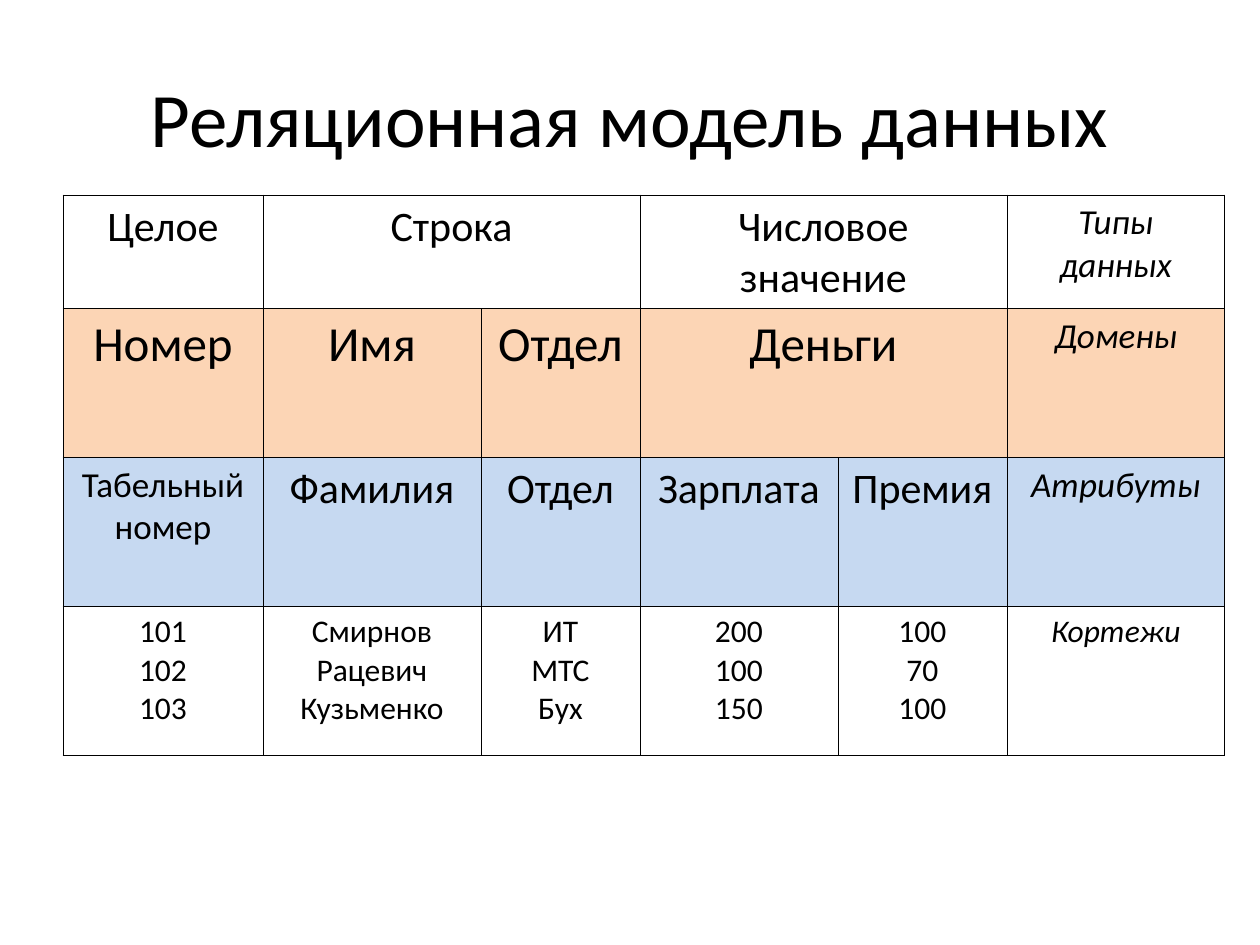
from lxml.etree import SubElement
from pptx import Presentation
from pptx.dml.color import RGBColor
from pptx.enum.text import MSO_ANCHOR, PP_ALIGN
from pptx.oxml.ns import qn
from pptx.util import Emu, Pt

PIXEL = 914400 // 126
FONT = "Calibri"
COLORS = {"ink": "000000", "domains": "FCD5B5", "attributes": "C6D9F1"}
COLUMN_WIDTHS = [200, 218, 159, 198, 169, 218]
ROW_HEIGHTS = [113, 149, 149, 149]

# Each row: fill colour name, then (first column, last column, text, size).
ROWS = [
    (None, [(0, 0, "Целое", 24), (1, 2, "Строка", 24),
            (3, 4, "Числовое значение", 24), (5, 5, "Типы данных", 20)]),
    ("domains", [(0, 0, "Номер", 28), (1, 1, "Имя", 28), (2, 2, "Отдел", 28),
                 (3, 4, "Деньги", 28), (5, 5, "Домены", 20)]),
    ("attributes", [(0, 0, "Табельный номер", 20), (1, 1, "Фамилия", 24),
                    (2, 2, "Отдел", 24), (3, 3, "Зарплата", 24),
                    (4, 4, "Премия", 24), (5, 5, "Атрибуты", 20)]),
    (None, [(0, 0, "101\n102\n103", 18),
            (1, 1, "Смирнов\nРацевич\nКузьменко", 18),
            (2, 2, "ИТ\nМТС\nБух", 18), (3, 3, "200\n100\n150", 18),
            (4, 4, "100\n70\n100", 18), (5, 5, "Кортежи", 18)]),
]


def px(length):
    """Turn whole pixels into EMU."""
    return Emu(length * PIXEL)


def write_text(frame, text, size, italic=False):
    """Fill a text frame with centred paragraphs."""
    frame.text = text
    for paragraph in frame.paragraphs:
        paragraph.alignment = PP_ALIGN.CENTER
        for run in paragraph.runs:
            run.font.name = FONT
            run.font.size = Pt(size)
            run.font.bold = False
            run.font.italic = italic
            run.font.color.rgb = RGBColor.from_string(COLORS["ink"])


def add_title(slide, text):
    """Add the slide heading."""
    heading = slide.shapes.add_textbox(px(63), px(38), px(1134), px(157))
    frame = heading.text_frame
    frame.word_wrap = True
    frame.vertical_anchor = MSO_ANCHOR.MIDDLE
    write_text(frame, text, 44)


def style_cell(cell, color):
    """Give a cell thin borders on all sides and its row's fill."""
    properties = cell._tc.get_or_add_tcPr()
    for side in ("lnL", "lnR", "lnT", "lnB"):
        border = SubElement(properties, qn(f"a:{side}"), w=str(Pt(0.45)))
        ink = SubElement(border, qn("a:solidFill"))
        SubElement(ink, qn("a:srgbClr"), val=COLORS["ink"])
    if color:
        cell.fill.solid()
        cell.fill.fore_color.rgb = RGBColor.from_string(COLORS[color])
    else:
        cell.fill.background()


def add_relation_table(slide):
    """Add the table of types, domains, attributes and tuples."""
    relation = slide.shapes.add_table(
        len(ROW_HEIGHTS), len(COLUMN_WIDTHS), px(63), px(195),
        px(sum(COLUMN_WIDTHS)), px(sum(ROW_HEIGHTS))).table
    relation.first_row = False
    relation.horz_banding = False
    for column, width in zip(relation.columns, COLUMN_WIDTHS):
        column.width = px(width)
    for index, (color, entries) in enumerate(ROWS):
        relation.rows[index].height = px(ROW_HEIGHTS[index])
        for cell in relation.rows[index].cells:
            style_cell(cell, color)
        for first, last, text, size in entries:
            cell = relation.cell(index, first)
            if last > first:
                cell.merge(relation.cell(index, last))
            is_label = first == len(COLUMN_WIDTHS) - 1
            write_text(cell.text_frame, text, size, italic=is_label)


def main():
    """Build the slide and save it."""
    presentation = Presentation()
    presentation.slide_width = px(1260)
    presentation.slide_height = px(945)
    slide = presentation.slides.add_slide(presentation.slide_layouts[6])
    add_title(slide, "Реляционная модель данных")
    add_relation_table(slide)
    presentation.save("out.pptx")


main()
